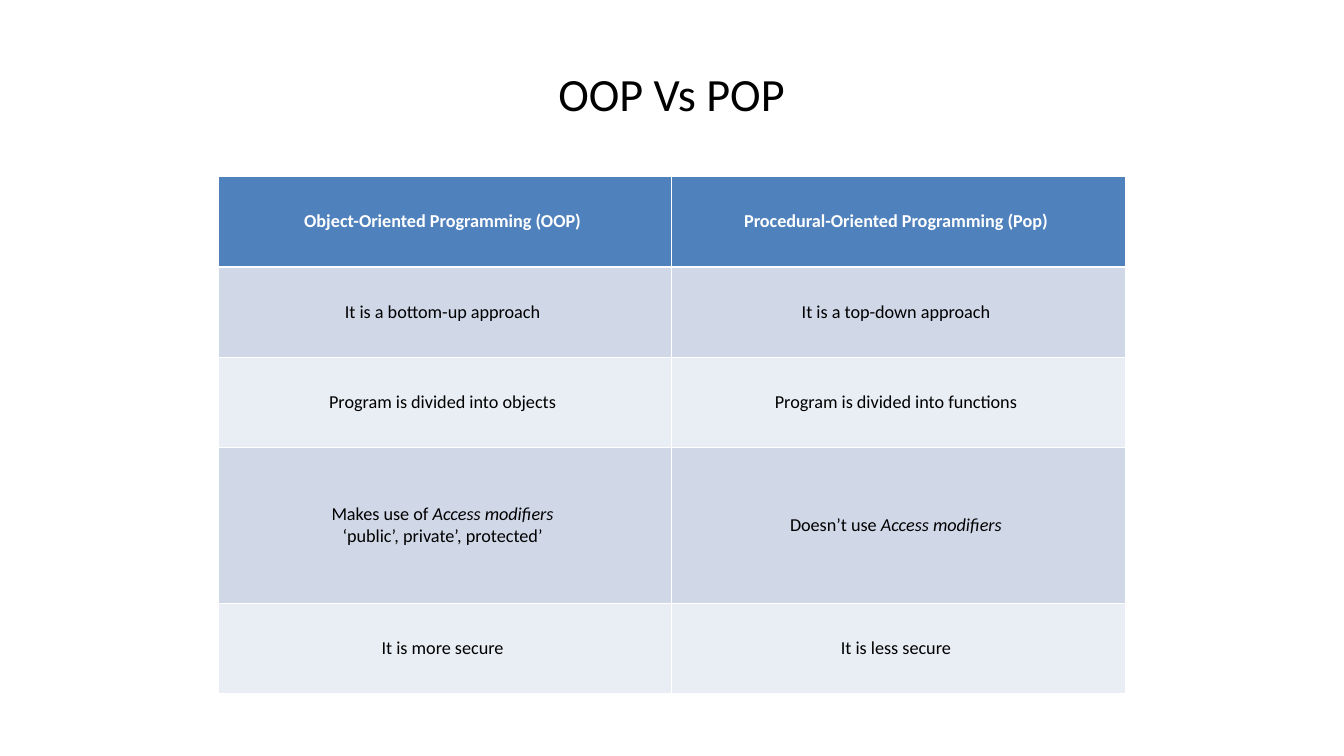
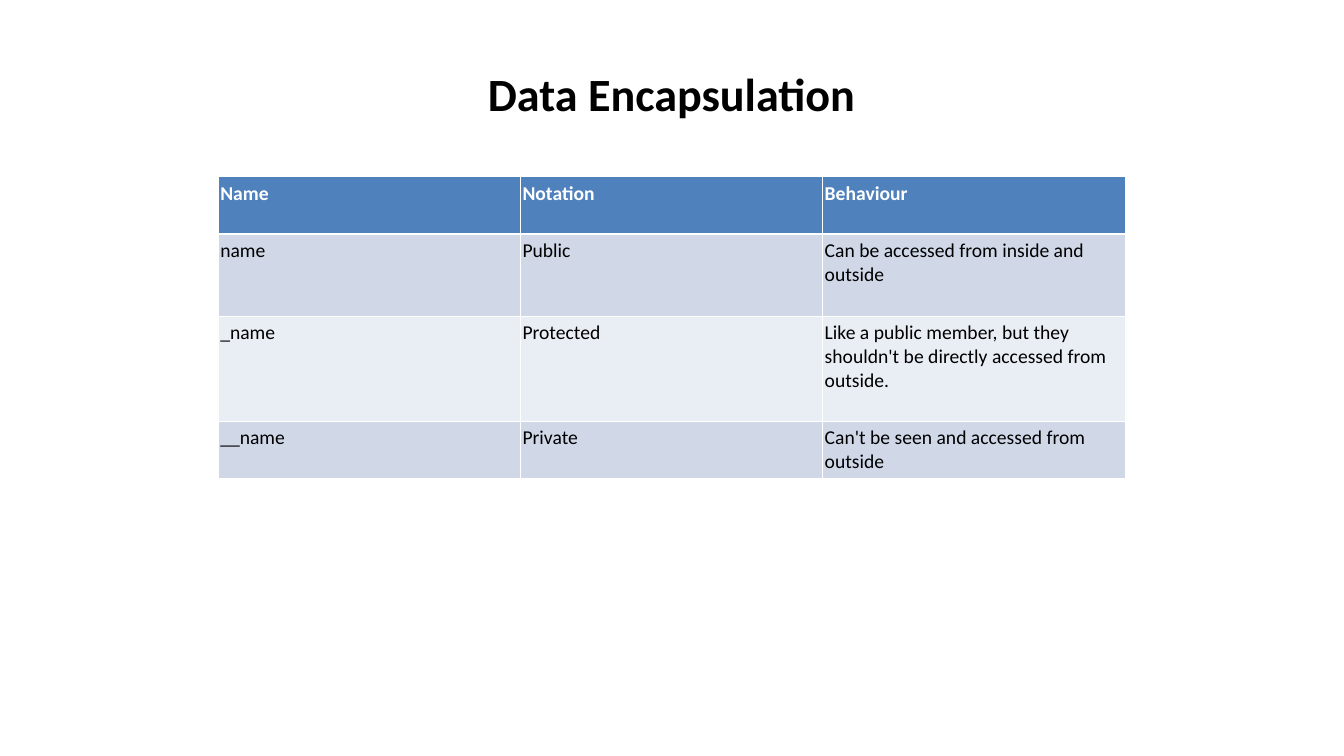
from dataclasses import dataclass

import lxml.etree
import pptx
import pptx.dml.color
import pptx.enum.text
import pptx.oxml.ns
import pptx.util

Pt = pptx.util.Pt
RGBColor = pptx.dml.color.RGBColor
ALIGN = pptx.enum.text.PP_ALIGN
ANCHOR = pptx.enum.text.MSO_ANCHOR
qn = pptx.oxml.ns.qn

FONT = "Calibri"
BLACK = RGBColor(0x00, 0x00, 0x00)
WHITE = RGBColor(0xFF, 0xFF, 0xFF)
BLUE = RGBColor(0x4F, 0x81, 0xBD)
BANDS = (RGBColor(0xE9, 0xED, 0xF4), RGBColor(0xD0, 0xD8, 0xE8))
THIN, THICK = 0.45, 1.47
LEFT, TOP, WIDTH = 156, 126, 648


@dataclass(frozen=True)
class Style:
    size: float
    align: ALIGN
    anchor: ANCHOR
    inset: tuple[float, float, float, float]


@dataclass(frozen=True)
class Page:
    title: str
    bold: bool
    style: Style
    heights: tuple[float, ...]
    rows: tuple[tuple[str, ...], ...]


CENTRED = Style(13, ALIGN.CENTER, ANCHOR.MIDDLE, (3.6, 3.6, 7.2, 3.6))
LISTED = Style(14, ALIGN.LEFT, ANCHOR.TOP, (1.44, 3.6, 1.44, 3.6))

PAGES = (
    Page("OOP Vs POP", False, CENTRED, (64.6, 64.6, 64.6, 111, 64.6), (
        ("Object-Oriented Programming (OOP)", "Procedural-Oriented Programming (Pop)"),
        ("It is a bottom-up approach", "It is a top-down approach"),
        ("Program is divided into objects", "Program is divided into functions"),
        ("Makes use of *Access modifiers*\n‘public’, private’, protected’",
         "Doesn’t use *Access modifiers*"),
        ("It is more secure", "It is less secure"),
    )),
    Page("Data Encapsulation", True, LISTED, (41, 58.6, 75.2, 41.2), (
        ("Name", "Notation", "Behaviour"),
        ("name", "Public", "Can be accessed from inside and outside"),
        ("_name", "Protected",
         "Like a public member, but they shouldn't be directly accessed from outside."),
        ("__name", "Private", "Can't be seen and accessed from outside"),
    )),
)


def write(frame, text: str, size: float, colour: RGBColor, bold: bool, align: ALIGN) -> None:
    frame.text = text
    for para in frame.paragraphs:
        para.alignment = align
        first, *rest = para.text.split("*")
        para.text = first
        for part in filter(None, rest):
            para.add_run().text = part
        for index, run in enumerate(para.runs):
            font = run.font
            font.name, font.size, font.bold = FONT, Pt(size), bold
            font.italic = index % 2 == 1
            font.color.rgb = colour


def add_edge(cell, side: str, width: float) -> None:
    props = cell._tc.get_or_add_tcPr()
    line = lxml.etree.SubElement(props, qn(f"a:ln{side}"), w=str(int(Pt(width))))
    fill = lxml.etree.SubElement(line, qn("a:solidFill"))
    lxml.etree.SubElement(fill, qn("a:srgbClr"), val=str(WHITE))


def fill_cell(cell, text: str, row: int, style: Style) -> None:
    head = row == 0
    edges = {"L": THIN, "R": THIN, "T": THICK if row == 1 else THIN,
             "B": THICK if head else THIN}
    for side, width in edges.items():
        add_edge(cell, side, width)
    cell.fill.solid()
    cell.fill.fore_color.rgb = BLUE if head else BANDS[row % 2]
    cell.margin_left, cell.margin_top, cell.margin_right, cell.margin_bottom = map(Pt, style.inset)
    cell.vertical_anchor = style.anchor
    write(cell.text_frame, text, style.size, WHITE if head else BLACK, head, style.align)


def add_title(slide, page: Page) -> None:
    frame = slide.shapes.add_textbox(Pt(48), Pt(21.6), Pt(864), Pt(90)).text_frame
    frame.word_wrap = True
    frame.vertical_anchor = ANCHOR.MIDDLE
    write(frame, page.title, 33, BLACK, page.bold, ALIGN.CENTER)


def add_grid(slide, page: Page) -> None:
    count = len(page.rows[0])
    table = slide.shapes.add_table(len(page.rows), count, Pt(LEFT), Pt(TOP),
                                   Pt(WIDTH), Pt(sum(page.heights))).table
    table.horz_banding = False
    for column in table.columns:
        column.width = Pt(WIDTH / count)
    for row, (height, texts) in enumerate(zip(page.heights, page.rows)):
        table.rows[row].height = Pt(height)
        for cell, text in zip(table.rows[row].cells, texts):
            fill_cell(cell, text, row, page.style)


def main() -> None:
    deck = pptx.Presentation()
    deck.slide_width, deck.slide_height = Pt(960.48), Pt(540)
    for page in PAGES:
        slide = deck.slides.add_slide(deck.slide_layouts[6])
        add_title(slide, page)
        add_grid(slide, page)
    deck.save("out.pptx")


if __name__ == "__main__":
    main()
